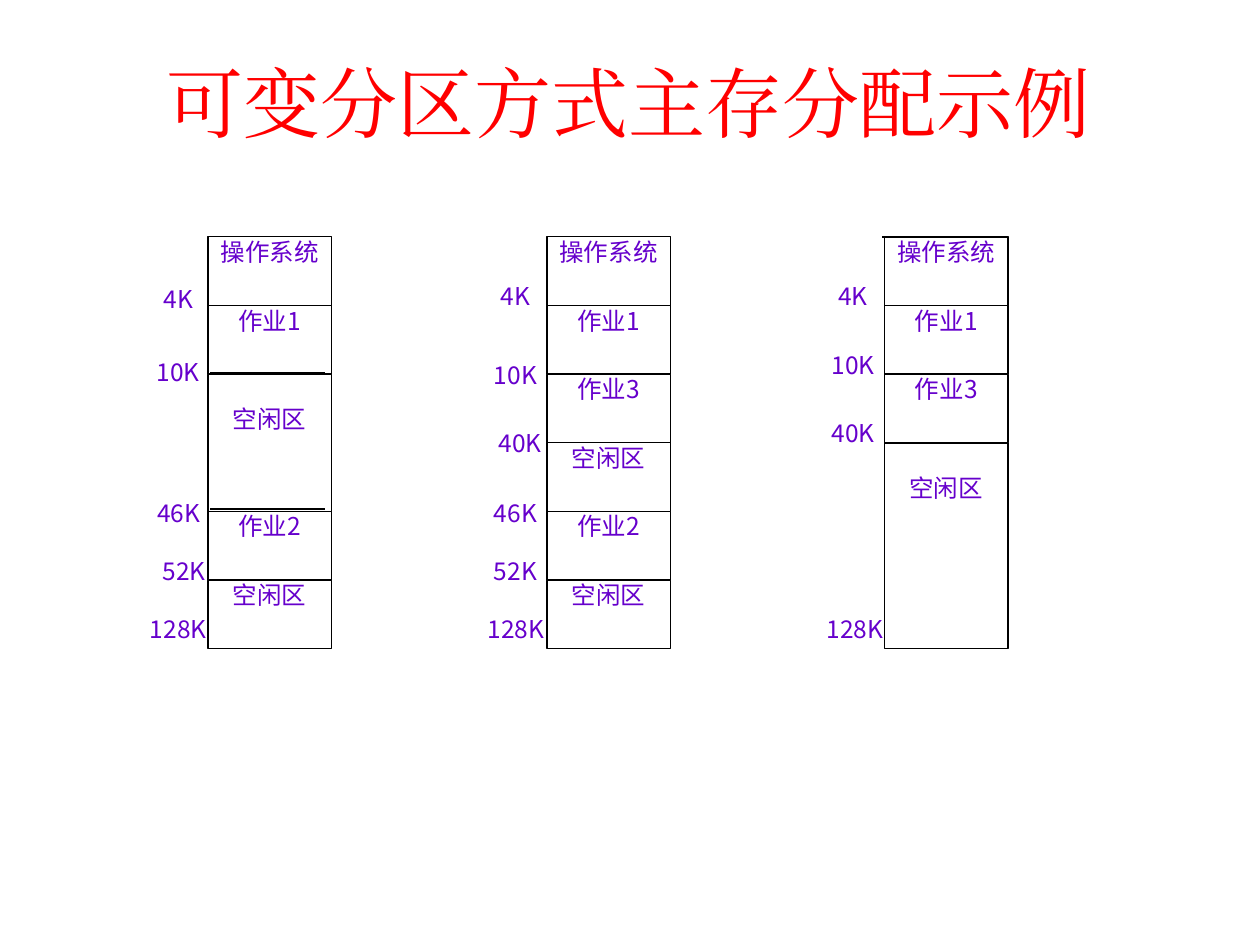
from typing import NamedTuple

from lxml.etree import SubElement
from pptx import Presentation
from pptx.dml.color import RGBColor
from pptx.enum.shapes import MSO_CONNECTOR, MSO_SHAPE
from pptx.enum.text import MSO_ANCHOR, MSO_AUTO_SIZE, PP_ALIGN
from pptx.oxml.ns import qn
from pptx.util import Inches, Pt

TOP = 1.88
UNIT = 0.545
WIDTH = 0.98
SANS = "Noto Sans CJK SC"


class Block(NamedTuple):
    text: str
    units: int = 1


class Label(NamedTuple):
    text: str
    left: float
    top: float
    width: float
    height: float


class Column(NamedTuple):
    left: float
    blocks: list[Block]
    labels: list[Label]


class Rule(NamedTuple):
    left: float
    right: float
    top: float


SYSTEM, JOB1, JOB2, JOB3 = map(Block, ("操作系统", "作业1", "作业2", "作业3"))
FREE = "空闲区"

COLUMNS = [
    Column(
        1.65,
        [SYSTEM, JOB1, Block(FREE, 2), JOB2, Block(FREE)],
        [
            Label("4K", 1.17, 2.25, 0.49, 0.55),
            Label("10K", 1.17, 2.83, 0.49, 0.54),
            Label("46K", 1.17, 3.95, 0.5, 0.34),
            Label("52K", 1.17, 4.41, 0.58, 0.3),
            Label("128K", 1.17, 4.87, 0.49, 0.55),
        ],
    ),
    Column(
        4.34,
        [SYSTEM, JOB1, JOB3, Block(FREE), JOB2, Block(FREE)],
        [
            Label("4K", 3.85, 2.23, 0.48, 0.31),
            Label("10K", 3.85, 2.86, 0.48, 0.43),
            Label("40K", 3.93, 3.4, 0.4, 0.31),
            Label("46K", 3.85, 3.95, 0.48, 0.34),
            Label("52K", 3.85, 4.41, 0.48, 0.38),
            Label("128K", 3.85, 4.87, 0.49, 0.55),
        ],
    ),
    Column(
        7.02,
        [SYSTEM, JOB1, JOB3, Block(FREE, 3)],
        [
            Label("4K", 6.54, 2.23, 0.46, 0.39),
            Label("10K", 6.54, 2.78, 0.46, 0.43),
            Label("40K", 6.54, 3.32, 0.46, 0.39),
            Label("128K", 6.54, 4.87, 0.49, 0.55),
        ],
    ),
]

RULES = [Rule(1.67, 2.58, 2.96), Rule(1.67, 2.58, 4.04), Rule(7, 8, TOP)]


def paint(target, color: str) -> None:
    target.solid()
    target.fore_color.rgb = RGBColor.from_string(color)


def write(frame, text: str, size: int, face: str, color: str) -> None:
    frame.text = text
    frame.word_wrap = True
    para = frame.paragraphs[0]
    para.alignment = PP_ALIGN.CENTER
    para.font.size = Pt(size)
    para.font.name = face
    paint(para.font.fill, color)
    props = para._p.pPr.find(qn("a:defRPr"))
    SubElement(props, qn("a:ea")).set("typeface", face)


def fit(frame, text: str, inset: float = 0) -> None:
    frame.margin_left = frame.margin_right = frame.margin_bottom = 0
    frame.margin_top = Inches(inset)
    frame.vertical_anchor = MSO_ANCHOR.TOP
    write(frame, text, 14, SANS, "6600CC")


def add_block(slide, block: Block, left: float, top: float) -> None:
    shape = slide.shapes.add_shape(
        MSO_SHAPE.RECTANGLE,
        Inches(left), Inches(top), Inches(WIDTH), Inches(block.units * UNIT),
    )
    shape.shadow.inherit = False
    paint(shape.fill, "FFFFFF")
    paint(shape.line.fill, "000000")
    shape.line.width = Pt(0.75)
    fit(shape.text_frame, block.text, 0.24 if block.units > 1 else 0)


def add_label(slide, label: Label) -> None:
    box = slide.shapes.add_textbox(*map(Inches, label[1:]))
    fit(box.text_frame, label.text)


def add_column(slide, column: Column) -> None:
    top = TOP
    for block in column.blocks:
        add_block(slide, block, column.left, top)
        top += block.units * UNIT
    for label in column.labels:
        add_label(slide, label)


def add_rule(slide, rule: Rule) -> None:
    line = slide.shapes.add_connector(
        MSO_CONNECTOR.STRAIGHT,
        Inches(rule.left), Inches(rule.top), Inches(rule.right), Inches(rule.top),
    )
    paint(line.line.fill, "000000")
    line.line.width = Pt(0.75)
    SubElement(line._element.spPr, qn("a:effectLst"))


def add_title(slide, text: str) -> None:
    title = slide.shapes.title
    title.left, title.top = Inches(0.2), Inches(0.44)
    title.width, title.height = Inches(9.58), Inches(0.73)
    frame = title.text_frame
    frame.auto_size = MSO_AUTO_SIZE.NONE
    frame.vertical_anchor = MSO_ANCHOR.MIDDLE
    write(frame, text, 44, "Times New Roman", "FF0000")


def main() -> None:
    deck = Presentation()
    deck.slide_width, deck.slide_height = Inches(10), Inches(7.5)
    slide = deck.slides.add_slide(deck.slide_layouts[5])
    add_title(slide, "可变分区方式主存分配示例")
    for column in COLUMNS:
        add_column(slide, column)
    for rule in RULES:
        add_rule(slide, rule)
    deck.save("out.pptx")


if __name__ == "__main__":
    main()
